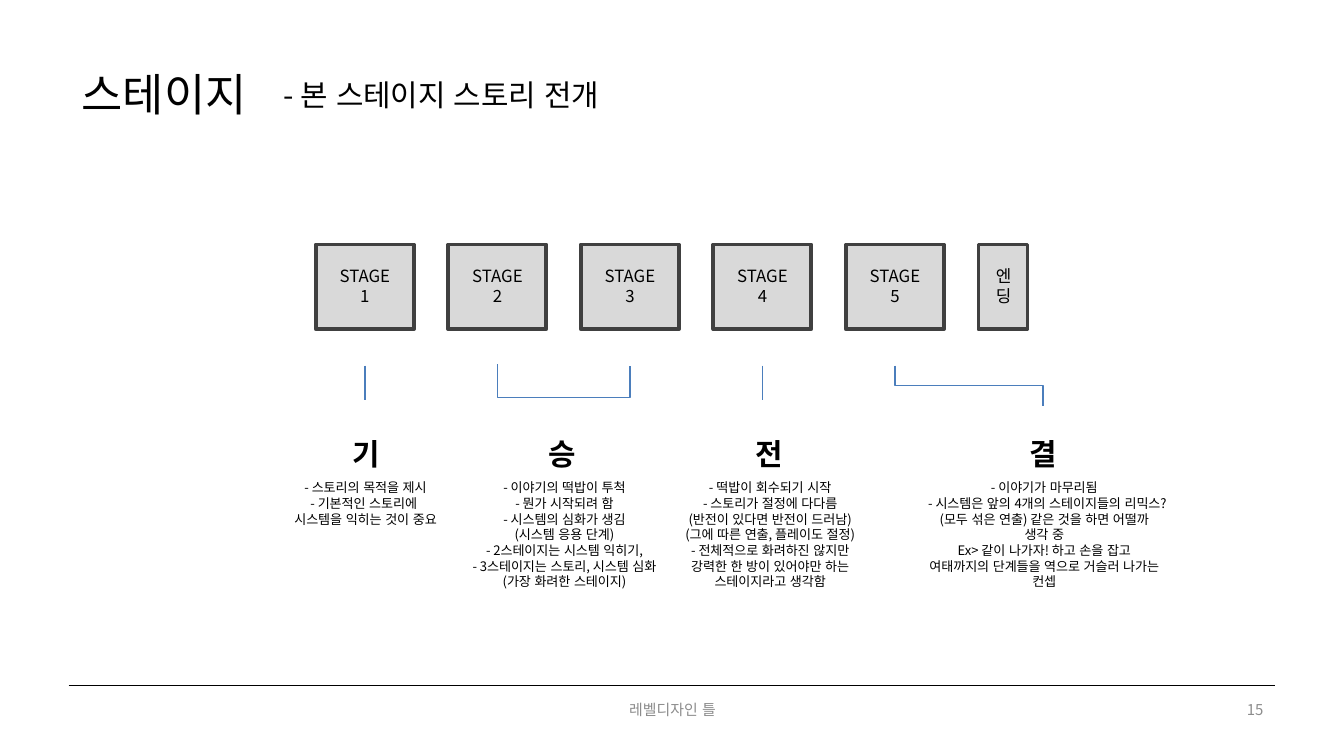
from pptx import Presentation, util as u
from pptx.dml.color import RGBColor
from pptx.enum import lang, shapes as s, text as t
from pptx.oxml.ns import qn
from lxml import etree

FONT = "Noto Sans CJK KR"
HUE = dict(ink="000000", mute="8C8C8C", box="D9D9D9", edge="404040", link="4B7EBC")
LEFT, MID, RIGHT = t.PP_ALIGN.LEFT, t.PP_ALIGN.CENTER, t.PP_ALIGN.RIGHT

STAGES = [["STAGE1"], ["STAGE2"], ["STAGE3"], ["STAGE4"], ["STAGE5"], ["엔", "딩"]]
ACTS = [
    ("기", 2.72, 2.72, 0.45, [
        "- 스토리의 목적을 제시", "- 기본적인 스토리에 ", "시스템을 익히는 것이 중요"]),
    ("승", 4.18, 4.2, 0.93, [
        "- 이야기의 떡밥이 투척", "- 뭔가 시작되려 함", "- 시스템의 심화가 생김",
        "(시스템 응용 단계)", "- 2스테이지는 시스템 익히기,",
        "- 3스테이지는 스토리, 시스템 심화", "(가장 화려한 스테이지)"]),
    ("전", 5.72, 5.73, 0.93, [
        "- 떡밥이 회수되기 시작", "- 스토리가 절정에 다다름",
        "(반전이 있다면 반전이 드러남)", "(그에 따른 연출, 플레이도 절정)",
        "- 전체적으로 화려하진 않지만", "강력한 한 방이 있어야만 하는",
        "스테이지라고 생각함"]),
    ("결", 7.76, 7.77, 0.93, [
        "- 이야기가 마무리됨",
        "- 시스템은 앞의 4개의 스테이지들의 리믹스?(모두 섞은 연출) 같은 것을 하면 어떨까 생각 중",
        "Ex> 같이 나가자! 하고 손을 잡고 여태까지의 단계들을 역으로 거슬러 나가는 컨셉"]),
]

deck = Presentation()
deck.slide_width = u.Inches(10)
deck.slide_height = deck.slide_width * 9 // 16
page = deck.slides.add_slide(deck.slide_layouts[6])


def rgb(key):
    return RGBColor.from_string(HUE[key])


def write(x, y, w, h, lines, size, align=MID, hue="ink", bold=False,
          space=None, middle=False, pad=0.1):
    frame = page.shapes.add_textbox(*map(u.Inches, (x, y, w, h))).text_frame
    frame.word_wrap = True
    frame.margin_left = frame.margin_right = u.Inches(pad)
    if middle:
        frame.vertical_anchor = t.MSO_ANCHOR.MIDDLE
    for i, line in enumerate(lines):
        para = frame.paragraphs[0] if i == 0 else frame.add_paragraph()
        para.alignment, para.line_spacing = align, space
        run = para.add_run()
        run.text = line
        font = run.font
        font.name, font.size, font.bold = FONT, u.Pt(size), bold
        font.language_id = lang.MSO_LANGUAGE_ID.KOREAN
        font.color.rgb = rgb(hue)
        font._element.set("kern", "0")
        east = etree.SubElement(font._element, qn("a:ea"))
        east.set("typeface", FONT)


def link(x1, y1, x2, y2, hue="link", kind=s.MSO_CONNECTOR.STRAIGHT):
    line = page.shapes.add_connector(kind, *map(u.Inches, (x1, y1, x2, y2)))
    line.line.color.rgb, line.line.width = rgb(hue), u.Pt(0.75)
    etree.SubElement(line._element.spPr, qn("a:effectLst"))
    return line


def elbow(x1, x2, y, drop, bend):
    mid, half, core = (x1 + x2) / 2, (x2 - x1) / 2, y + drop / 2
    line = link(mid - drop / 2, core - half, mid + drop / 2, core + half,
                kind=s.MSO_CONNECTOR.ELBOW)
    props = line._element.spPr
    frame = props.find(qn("a:xfrm"))
    frame.set("rot", str(270 * 60000))
    frame.set("flipH", "1")
    guide = etree.SubElement(props.find(qn("a:prstGeom")).find(qn("a:avLst")), qn("a:gd"))
    guide.set("name", "adj1")
    guide.set("fmla", f"val {round(bend / drop * 100000)}")


write(0.51, 0.45, 2.27, 0.5, ["스테이지"], 24, LEFT)
write(2.01, 0.52, 3.31, 0.37, ["- 본 스테이지 스토리 전개"], 16, LEFT)

START, END, WIDE, TOP, TALL = 2.35, 7.28, 0.73, 1.82, 0.63
STEP = (END - START) / 5
hubs = [START + i * STEP + WIDE / 2 for i in range(5)]
for i, words in enumerate(STAGES):
    last = i == len(STAGES) - 1
    x, w = START + i * STEP, WIDE / 2 if last else WIDE
    box = page.shapes.add_shape(s.MSO_SHAPE.RECTANGLE, *map(u.Inches, (x, TOP, w, TALL)))
    box.shadow.inherit = False
    box.fill.solid()
    box.fill.fore_color.rgb = rgb("box")
    box.line.color.rgb, box.line.width = rgb("edge"), u.Pt(2)
    span = 0.3 if last else 0.61
    write(x + (w - span) / 2, 1.93, span, 0.4, words, 9)

for i in (0, 3):
    link(hubs[i], 2.72, hubs[i], 2.98)
elbow(hubs[1], hubs[2], 2.71, 0.01, 0.25)
elbow(hubs[4], 7.76, 2.72, 0.3, 0.15)

for name, head, body, tall, notes in ACTS:
    write(head - 0.35, 3.06, 0.71, 0.45, [name], 16, bold=True, space=1.5)
    write(body - 0.99, 3.52, 1.98, tall, notes, 7, pad=0.12)

link(0.51, 5.1, 9.49, 5.1, "ink")
write(3.42, 5.13, 3.17, 0.3, ["레벨디자인 틀"], 8, MID, "mute", middle=True)
write(7.17, 5.13, 2.33, 0.3, ["15"], 8, RIGHT, "mute", middle=True)

deck.save("out.pptx")
